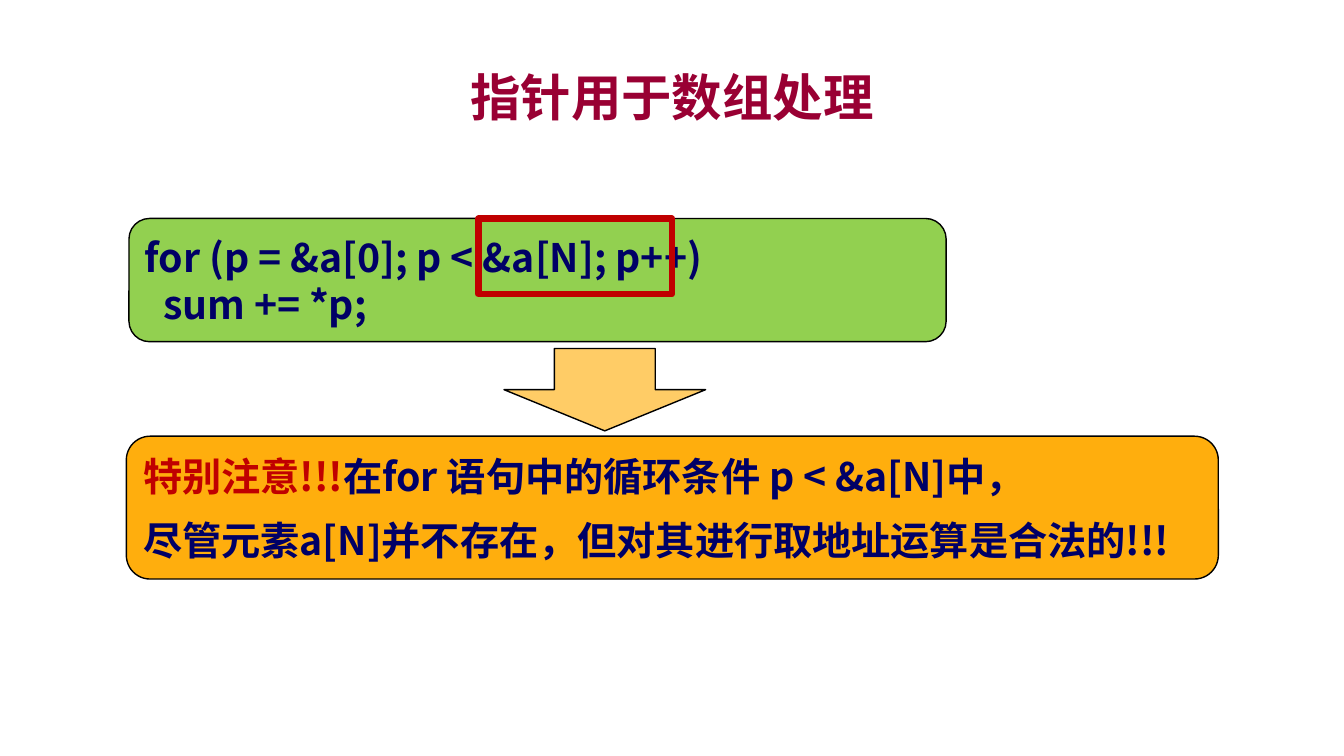
from dataclasses import dataclass

from pptx import Presentation
from pptx.dml.color import RGBColor
from pptx.enum.shapes import MSO_SHAPE
from pptx.enum.text import MSO_ANCHOR, PP_ALIGN
from pptx.oxml.ns import qn
from pptx.util import Inches, Pt


@dataclass(frozen=True)
class Theme:
    title: str = "990033"
    code: str = "000066"
    alert: str = "C00000"
    green: str = "92D050"
    orange: str = "FFAE0D"
    arrow: str = "FFCC66"
    outline: str = "000000"
    title_font: str = "Arial"
    body_font: str = "Noto Sans CJK SC"
    title_size: float = 36
    body_size: float = 28
    body_leading: float = 33.6
    thin: float = 1
    thick: float = 4.5


THEME = Theme()
SLIDE_WIDTH, SLIDE_HEIGHT = 13.33, 7.5

# Each paragraph is a list of (text, colour) runs.
TITLE = [[("指针用于数组处理", THEME.title)]]
CODE = [
    [("for (p = &a[0]; p < &a[N]; p++)", THEME.code)],
    [("sum += *p;", THEME.code)],
]
NOTICE = [
    [("特别注意!!!", THEME.alert), ("在for 语句中的循环条件 p < &a[N]中，", THEME.code)],
    [("尽管元素a[N]并不存在，但对其进行取地址运算是合法的!!!", THEME.code)],
]

# Left, top, width, height as shares of the slide.
TITLE_AREA = (0.075, 0.077, 0.85, 0.1)
CODE_AREA = (0.096, 0.289, 0.608, 0.163)
NOTICE_AREA = (0.094, 0.577, 0.8125, 0.189)
ARROW_AREA = (0.375, 0.461, 0.15, 0.109)
HIGHLIGHT_AREA = (0.356, 0.289, 0.144, 0.1)
CODE_INDENT = 0.18


def to_slide(area):
    """Turn shares of the slide into lengths."""
    left, top, width, height = area
    return (Inches(left * SLIDE_WIDTH), Inches(top * SLIDE_HEIGHT),
            Inches(width * SLIDE_WIDTH), Inches(height * SLIDE_HEIGHT))


def add_shape(slide, kind, area, fill, line, weight):
    shape = slide.shapes.add_shape(kind, *to_slide(area))
    shape.shadow.inherit = False
    if fill:
        shape.fill.solid()
        shape.fill.fore_color.rgb = RGBColor.from_string(fill)
    else:
        shape.fill.background()
    shape.line.color.rgb = RGBColor.from_string(line)
    shape.line.width = Pt(weight)
    return shape


def write(shape, paragraphs, font_name, size, align=PP_ALIGN.LEFT, leading=None, gap=0):
    frame = shape.text_frame
    frame.word_wrap = True
    frame.vertical_anchor = MSO_ANCHOR.MIDDLE
    for index, runs in enumerate(paragraphs):
        paragraph = frame.add_paragraph() if index else frame.paragraphs[0]
        paragraph.alignment = align
        paragraph.space_before = paragraph.space_after = Pt(gap)
        if leading:
            paragraph.line_spacing = Pt(leading)
        for text, color in runs:
            run = paragraph.add_run()
            run.text = text
            run.font.name = font_name
            run.font.size = Pt(size)
            run.font.bold = True
            run.font.color.rgb = RGBColor.from_string(color)
            east_asian = run.font._element.makeelement(qn("a:ea"), {"typeface": THEME.body_font})
            run.font._element.find(qn("a:latin")).addnext(east_asian)
    return frame


def main():
    presentation = Presentation()
    presentation.slide_width = Inches(SLIDE_WIDTH)
    presentation.slide_height = Inches(SLIDE_HEIGHT)
    slide = presentation.slides.add_slide(presentation.slide_layouts[6])

    title = slide.shapes.add_textbox(*to_slide(TITLE_AREA))
    write(title, TITLE, THEME.title_font, THEME.title_size, PP_ALIGN.CENTER)

    notice = add_shape(slide, MSO_SHAPE.ROUNDED_RECTANGLE, NOTICE_AREA,
                       THEME.orange, THEME.outline, THEME.thin)
    frame = write(notice, NOTICE, THEME.body_font, THEME.body_size,
                  leading=THEME.body_leading, gap=6)
    frame.margin_right = 0

    code = add_shape(slide, MSO_SHAPE.ROUNDED_RECTANGLE, CODE_AREA,
                     THEME.green, THEME.outline, THEME.thin)
    frame = write(code, CODE, THEME.body_font, THEME.body_size, leading=THEME.body_leading)
    loop_body = frame.paragraphs[1]._p.get_or_add_pPr()
    loop_body.set("marL", str(Inches(CODE_INDENT)))
    loop_body.set("indent", "0")

    add_shape(slide, MSO_SHAPE.DOWN_ARROW, ARROW_AREA,
              THEME.arrow, THEME.outline, THEME.thin)
    add_shape(slide, MSO_SHAPE.RECTANGLE, HIGHLIGHT_AREA,
              None, THEME.alert, THEME.thick)

    presentation.save("out.pptx")


if __name__ == "__main__":
    main()
